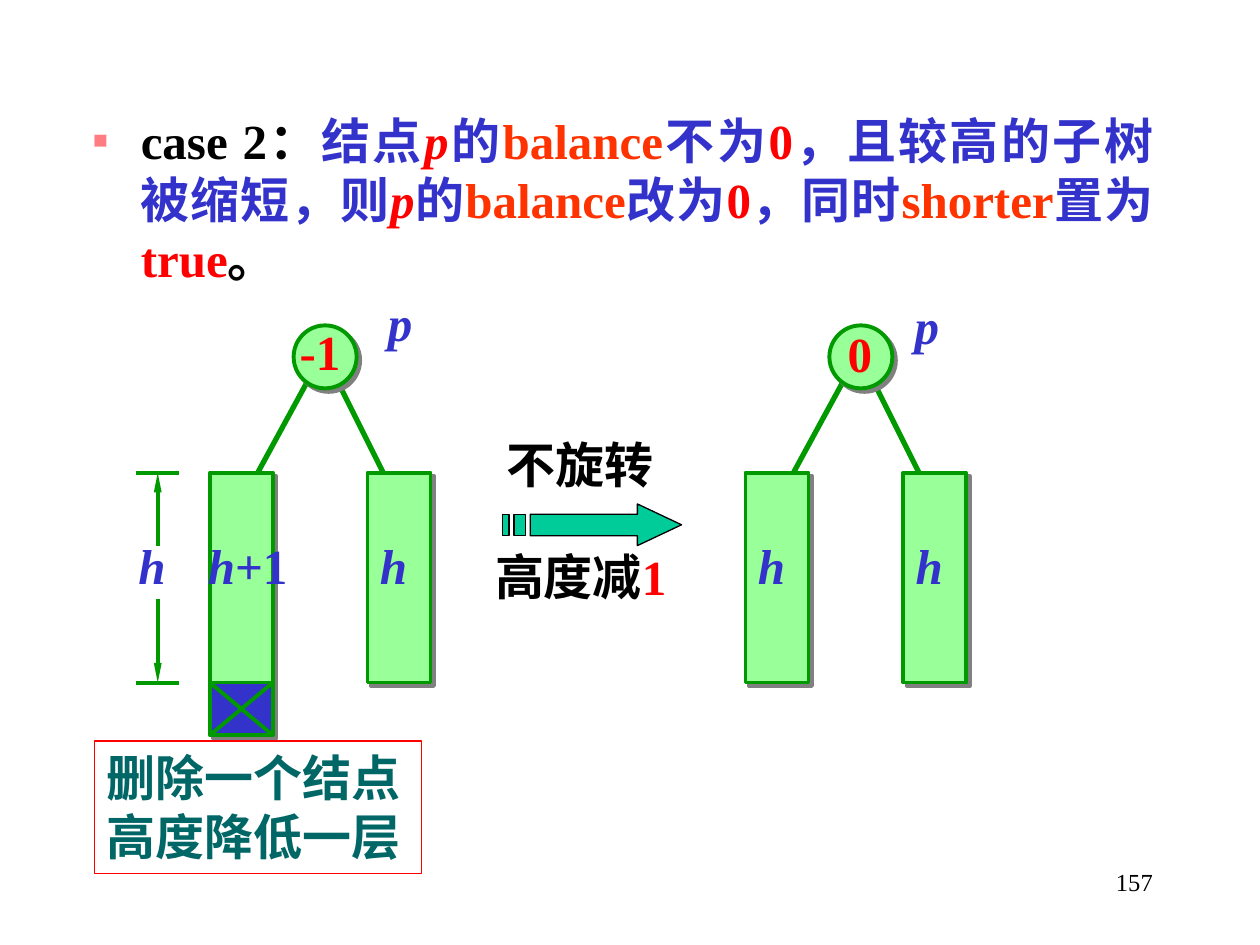
from dataclasses import dataclass
from typing import NamedTuple, Optional

from lxml import etree
from pptx import Presentation
from pptx import util as u
from pptx.dml import color
from pptx.enum import shapes, text
from pptx.oxml import ns

Cm = u.Cm


@dataclass(frozen=True)
class Theme:
    font: str = "Times New Roman"
    size: int = 28
    number_size: int = 14
    black: str = "000000"
    blue: str = "3333CC"
    red: str = "FF0000"
    orange: str = "FF3300"
    teal: str = "006666"
    green: str = "009900"
    node: str = "99FF99"
    arrow: str = "00CC99"
    bullet: str = "FF7C80"
    shadow: str = "808080"
    outline: float = 2.25
    branch: float = 3
    hairline: float = 0.75


THEME = Theme()


class Run(NamedTuple):
    words: str
    hue: str
    italic: bool = False


class Label(NamedTuple):
    left: float
    top: float
    width: float
    runs: list[Run]
    wrap: bool = True


class Tree(NamedTuple):
    left: float


prs = Presentation()
prs.slide_width, prs.slide_height = Cm(25.4), Cm(19.05)
slide = prs.slides.add_slide(prs.slide_layouts[6])


def rgb(hue: str) -> color.RGBColor:
    return color.RGBColor.from_string(hue)


def add_xml(parent, tag: str, **attributes: str):
    child = etree.SubElement(parent, ns.qn(tag))
    for name, value in attributes.items():
        child.set(name, value)
    return child


def write(frame, runs: list[Run], size: int = THEME.size, bold: bool = True):
    """Fill the first paragraph of a text frame with styled runs."""
    paragraph = frame.paragraphs[0]
    for item in runs:
        run = paragraph.add_run()
        run.text = item.words
        formats = {"name": THEME.font, "size": u.Pt(size), "bold": bold, "italic": item.italic}
        for attribute, value in formats.items():
            setattr(run.font, attribute, value)
        run.font.color.rgb = rgb(item.hue)
    return paragraph


def add_label(label: Label, height: float = 1.45, **style):
    box = slide.shapes.add_textbox(*map(Cm, (label.left, label.top, label.width, height)))
    box.text_frame.word_wrap = label.wrap
    return write(box.text_frame, label.runs, **style)


def paint(shape, fill: Optional[str], line: str, width: float) -> None:
    shape.shadow.inherit = False
    if fill:
        shape.fill.solid()
        shape.fill.fore_color.rgb = rgb(fill)
    else:
        shape.fill.background()
    shape.line.color.rgb = rgb(line)
    shape.line.width = u.Pt(width)


def add_block(kind, left: float, top: float, width: float, height: float, fill: str = THEME.node) -> None:
    """Add an outlined shape with a hard drop shadow."""
    block = slide.shapes.add_shape(kind, *map(Cm, (left, top, width, height)))
    paint(block, fill, THEME.green, THEME.outline)
    effects = block._element.spPr.find(ns.qn("a:effectLst"))
    shadow = add_xml(effects, "a:outerShdw", dist=str(u.Pt(2.8)), dir="2700000",
                     algn="ctr", rotWithShape="0")
    add_xml(shadow, "a:srgbClr", val=THEME.shadow)


def add_line(x1: float, y1: float, x2: float, y2: float,
             width: float = THEME.outline, arrow: bool = False) -> None:
    line = slide.shapes.add_connector(shapes.MSO_CONNECTOR.STRAIGHT, *map(Cm, (x1, y1, x2, y2)))
    line.line.color.rgb = rgb(THEME.green)
    line.line.width = u.Pt(width)
    if arrow:
        add_xml(line.line._get_or_add_ln(), "a:tailEnd", type="triangle", w="sm", len="lg")
    add_xml(line._element.spPr, "a:effectLst")


# Shared geometry of both trees
SIDE = 1.27
BAR_TOP, BAR_HEIGHT = 9.53, 4.23
BAR_BOTTOM = BAR_TOP + BAR_HEIGHT
RIGHT_BAR = 3.18
LABEL_TOP = 10.67


def add_tree(tree: Tree) -> None:
    x = tree.left
    add_line(x + 2.54, 7.62, x + 3.6, 9.74, THEME.branch)
    add_line(x + 2.12, 7.41, x + 0.85, 9.74, THEME.branch)
    add_block(shapes.MSO_SHAPE.OVAL, x + 1.69, 6.56, SIDE, SIDE)
    for bar in (x, x + RIGHT_BAR):
        add_block(shapes.MSO_SHAPE.RECTANGLE, bar, BAR_TOP, SIDE, BAR_HEIGHT)


before, after = Tree(4.23), Tree(15.03)

# Case statement
b, r, o = THEME.blue, THEME.red, THEME.orange
case = add_label(Label(1.63, 2.11, 21.87, [
    Run("case 2：", THEME.black), Run("结点", b), Run("p", r, True), Run("的", b),
    Run("balance", o), Run("不为", b), Run("0", r), Run("，且较高的子树被缩短，则", b),
    Run("p", r, True), Run("的", b), Run("balance", o), Run("改为", b), Run("0", r),
    Run("，同时", b), Run("shorter", o), Run("置为", b), Run("true", r),
    Run("。", THEME.black)]), 3.68)
case.alignment = text.PP_ALIGN.JUSTIFY
case_format = case._p.get_or_add_pPr()
for name, value in {"marL": Cm(0.96), "indent": -Cm(0.96)}.items():
    case_format.set(name, str(value))
add_xml(add_xml(case_format, "a:buClr"), "a:srgbClr", val=THEME.bullet)
add_xml(case_format, "a:buSzPct", val="50000")
add_xml(case_format, "a:buFont", typeface=THEME.font)
add_xml(case_format, "a:buChar", char="■")

# Trees before and after the deletion
for tree in (before, after):
    add_tree(tree)

# Deleted node, crossed out
deleted_bottom = 14.82
deleted_right = before.left + SIDE
add_block(shapes.MSO_SHAPE.RECTANGLE, before.left, BAR_BOTTOM, SIDE,
          deleted_bottom - BAR_BOTTOM, THEME.blue)
add_line(deleted_right, BAR_BOTTOM, before.left, deleted_bottom)
add_line(before.left, BAR_BOTTOM, deleted_right, deleted_bottom)

# Height measure
for start, end in ((11, BAR_TOP), (12.07, BAR_BOTTOM)):
    add_line(2.75, end, 3.6, end)
    add_line(3.18, start, 3.18, end, arrow=True)

# Striped arrow
contours = [
    [(12.85, 10.16), (12.85, 10.37), (10.69, 10.37), (10.69, 10.8),
     (12.85, 10.8), (12.85, 11), (13.74, 10.58)],
    *([(left, 10.37), (left, 10.8), (right, 10.8), (right, 10.37)]
      for left, right in ((10.36, 10.59), (10.13, 10.26))),
]
outlines = [[(Cm(x), Cm(y)) for x, y in contour] for contour in contours]
builder = slide.shapes.build_freeform(*outlines[0][0])
for index, outline in enumerate(outlines):
    if index:
        builder.move_to(*outline[0])
    builder.add_line_segments(outline[1:], close=True)
paint(builder.convert_to_shape(), THEME.arrow, THEME.black, THEME.hairline)

# Labels of nodes, subtrees and the step
h, p = Run("h", b, True), Run("p", b, True)
for label in (
    Label(5.79, 6.35, 1.9, [Run("-1", r)]),
    Label(16.84, 6.4, 1.47, [Run("0", r)]),
    Label(7.57, 5.77, 1.32, [p]),
    Label(18.19, 5.84, 1.02, [p], wrap=False),
    Label(2.54, LABEL_TOP, SIDE, [h]),
    Label(3.94, LABEL_TOP, 2.54, [h, Run("+1", b)]),
    Label(before.left + RIGHT_BAR, LABEL_TOP, 1.07, [h]),
    Label(after.left, LABEL_TOP, 2.11, [h]),
    Label(after.left + RIGHT_BAR, LABEL_TOP, 1.07, [h]),
    Label(9.96, 8.64, 3.68, [Run("不旋转", THEME.black)]),
    Label(9.73, 10.9, 4.22, [Run("高度减", THEME.black), Run("1", r)]),
):
    add_label(label)

# Explanation of the deletion
note = slide.shapes.add_shape(shapes.MSO_SHAPE.RECTANGLE, *map(Cm, (1.9, 14.94, 6.6, 2.67)))
paint(note, None, THEME.red, THEME.hairline)
note.text_frame.word_wrap = True
note.text_frame.vertical_anchor = text.MSO_ANCHOR.TOP
write(note.text_frame, [Run("删除一个结点高度降低一层", THEME.teal)]).alignment = text.PP_ALIGN.LEFT

# Slide number
number = add_label(Label(18.21, 17.35, 5.28, [Run("157", THEME.black)]), SIDE,
                   size=THEME.number_size, bold=False)
number.alignment = text.PP_ALIGN.RIGHT

prs.save("out.pptx")
